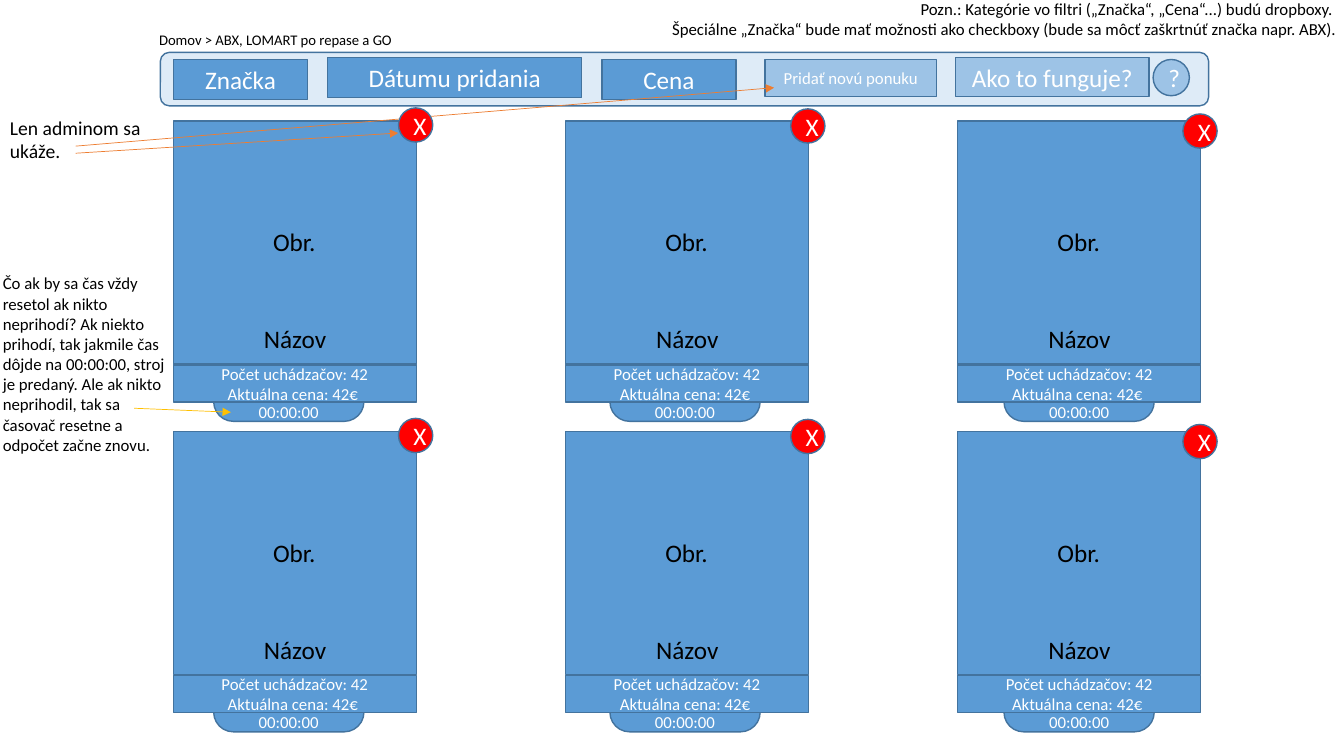
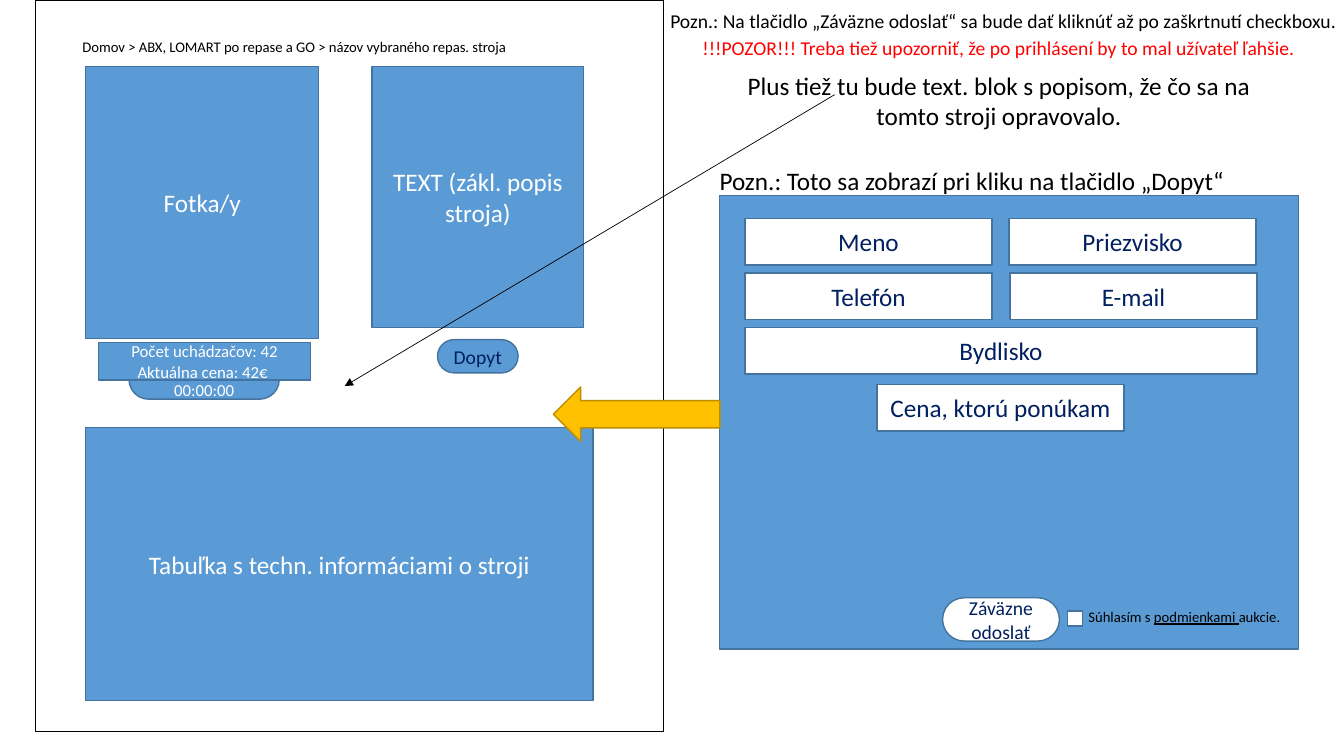
from lxml.etree import SubElement
from pptx import Presentation
from pptx.dml.color import RGBColor
from pptx.enum.shapes import MSO_CONNECTOR, MSO_SHAPE
from pptx.enum.text import MSO_ANCHOR, PP_ALIGN
from pptx.oxml.ns import qn
from pptx.util import Inches, Pt

COLORS = {
    "blue": "5B9BD5", "edge": "43739E", "light": "9DC3E6", "pale": "DEEBF7",
    "white": "FFFFFF", "black": "000000", "navy": "002060", "red": "FF0000",
    "gold": "FFC000", "gold_edge": "BD8E00", "orange": "ED7D31",
}
RGB = {name: RGBColor.from_string(value) for name, value in COLORS.items()}

deck = Presentation()
deck.slide_width, deck.slide_height = Inches(13.33), Inches(7.5)
COLUMN, ROW = deck.slide_width / 100, deck.slide_height / 100


def add_box(page, spot, text="", kind=MSO_SHAPE.RECTANGLE, fill="blue", line="edge",
            size=18, color="white", align=PP_ALIGN.CENTER, wrap=True, rounding=None, drop=None):
    left, top, width, height = spot
    place = [round(n) for n in (left * COLUMN, top * ROW, width * COLUMN, height * ROW)]
    if kind is None:
        box = page.shapes.add_textbox(*place)
    else:
        box = page.shapes.add_shape(kind, *place)
        box.shadow.inherit = False
        box.line.color.rgb = RGB[line]
        box.line.width = Pt(1)
        if fill:
            box.fill.solid()
            box.fill.fore_color.rgb = RGB[fill]
        else:
            box.fill.background()
        if rounding:
            box.adjustments[0] = rounding
    frame = box.text_frame
    frame.word_wrap = wrap
    frame.vertical_anchor = MSO_ANCHOR.TOP if kind is None else MSO_ANCHOR.MIDDLE
    if drop:
        frame.margin_top, frame.margin_bottom = round(drop * ROW), 0
    frame.text = text
    for para in frame.paragraphs:
        para.alignment = align
        para.font.name = "Calibri"
        para.font.size = Pt(size)
        para.font.color.rgb = RGB[color]
    return box


def add_arrow(page, start, end, color):
    arrow = page.shapes.add_connector(
        MSO_CONNECTOR.STRAIGHT, round(start[0] * COLUMN), round(start[1] * ROW),
        round(end[0] * COLUMN), round(end[1] * ROW))
    arrow.line.color.rgb = RGB[color]
    arrow.line.width = Pt(0.5)
    SubElement(arrow.line._get_or_add_ln(), qn("a:tailEnd"), type="triangle")
    SubElement(arrow._element.spPr, qn("a:effectLst"))


NOTE = dict(kind=None, color="black", align=PP_ALIGN.LEFT)
CRUMB = dict(NOTE, size=10.5)
PILL = dict(kind=MSO_SHAPE.ROUNDED_RECTANGLE, rounding=0.5)
TIMER = dict(PILL, text="00:00:00", size=12, drop=2.67)
BID = dict(text="Počet uchádzačov: 42\vAktuálna cena: 42€ ", size=12)
FIELD = dict(fill="white", color="navy")
TIMER_SIZE = (11.18, 5.2)
BID_HEIGHT = 4.93

page = deck.slides.add_slide(deck.slide_layouts[6])
CARD_WIDTH, CARD_HEIGHT = 18.08, 32.13
card_lefts = [12.9 + 29.18 * column for column in range(3)]
card_tops = [16 + 41.07 * row for row in range(2)]
timer_lefts = [15.9, 45.38, 74.7]
badge_rises = [1.73, 1.6, 0.93]

for top in card_tops:
    for left, timer_left in zip(card_lefts, timer_lefts):
        add_box(page, (timer_left, top + 34.53, *TIMER_SIZE), **TIMER)
        add_box(page, (left, top, CARD_WIDTH, CARD_HEIGHT))
        add_box(page, (left + 6.68, top + 13.33, 4.73, 5.33), "Obr.", wrap=False, **NOTE)
        add_box(page, (left + 6, top + 26.13, 6.23, 5.33), "Názov", wrap=False, **NOTE)
        add_box(page, (left, top + 32.27, CARD_WIDTH, BID_HEIGHT), **BID)

add_box(page, (11.93, 6.93, 78, 7.07), kind=MSO_SHAPE.ROUNDED_RECTANGLE, fill="pale")
filter_buttons = [
    ("Značka", (12.9, 7.87, 9.98, 5.33), "blue", 18),
    ("Dátumu pridania", (24.38, 7.6, 18.9, 5.33), "blue", 18),
    ("Cena", (44.78, 7.87, 9.98, 5.33), "blue", 18),
    ("Pridať novú ponuku", (56.93, 7.87, 12.75, 4.93), "light", 12),
    ("Ako to funguje?", (71.1, 7.6, 14.4, 5.2), "light", 18),
]
for label, spot, fill, size in filter_buttons:
    add_box(page, spot, label, fill=fill, size=size)
add_box(page, (85.8, 7.87, 2.7, 4.8), "?", kind=MSO_SHAPE.OVAL, fill="light")

add_box(page, (11.1, 3.47, 19.05, 3.73), "Domov > ABX, LOMART po repase a GO", wrap=False, **CRUMB)
add_box(page, (48.23, -0.8, 51.98, 6.67),
        "Pozn.: Kategórie vo filtri („Značka“, „Cena“...) budú dropboxy. \n"
        "Špeciálne „Značka“ bude mať možnosti ako checkboxy "
        "(bude sa môcť zaškrtnúť značka napr. ABX).",
        kind=None, size=12, color="black", align=PP_ALIGN.RIGHT)
add_box(page, (-0.53, 35.47, 14.4, 25.6),
        "Čo ak by sa čas vždy resetol ak nikto neprihodí? Ak niekto prihodí, tak jakmile čas "
        "dôjde na 00:00:00, stroj je predaný. Ale ak nikto neprihodil, tak sa časovač resetne "
        "a odpočet začne znovu.", size=12, **NOTE)
add_box(page, (0, 14.67, 14.7, 7.6), "Len adminom sa ukáže.", size=14, **NOTE)

add_arrow(page, (9.98, 54), (17.18, 54.53), "gold")
add_arrow(page, (5.63, 19.33), (57.6, 11.6), "orange")
add_arrow(page, (5.63, 20.27), (29.63, 17.6), "orange")
for top in card_tops:
    for left, rise in zip(card_lefts, badge_rises):
        add_box(page, (left + 16.75, top - rise, 2.55, 4.53), "X", kind=MSO_SHAPE.OVAL, fill="red")

page = deck.slides.add_slide(deck.slide_layouts[6])
add_box(page, (9.6, 47.6, *TIMER_SIZE), **TIMER)
add_box(page, (7.35, 45.33, 15.75, BID_HEIGHT), **BID)
add_box(page, (5.4, 4.4, 46.05, 3.73),
        "Domov > ABX, LOMART po repase a GO > názov vybraného repas. stroja", **CRUMB)
content_blocks = [
    ("Fotka/y", (6.38, 8.8, 17.33, 36)),
    ("TEXT (zákl. popis stroja)", (27.68, 8.8, 15.75, 34.53)),
    ("Tabuľka s techn. informáciami o stroji", (6.38, 56.53, 37.73, 36.13)),
    ("", (53.55, 25.87, 43.05, 60)),
]
for label, spot in content_blocks:
    add_box(page, spot, label)
add_box(page, (32.55, 44.93, 6, 4.4), "Dopyt", size=14, color="navy", **PILL)

FIELD_WIDTH, FIELD_HEIGHT = 18.38, 6.13
form_fields = [
    ("Meno", 55.43, 0, FIELD_WIDTH),
    ("Priezvisko", 75.08, 0, FIELD_WIDTH),
    ("Telefón", 55.43, 1, FIELD_WIDTH),
    ("E-mail", 75.15, 1, FIELD_WIDTH),
    ("Bydlisko", 55.43, 2, 38.1),
    ("Cena, ktorú ponúkam", 65.25, 3.05, FIELD_WIDTH),
]
for label, left, row, width in form_fields:
    add_box(page, (left, 28.93 + 7.2 * row, width, FIELD_HEIGHT), label, **FIELD)
add_box(page, (70.13, 79.07, 8.7, 5.73), "Záväzne odoslať", size=14, **FIELD, **PILL)
add_box(page, (79.43, 80.8, 1.13, 2), **FIELD)

terms = add_box(page, (80.25, 79.73, 16.28, 3.73), **CRUMB)
for words, underlined in [("Súhlasím s ", False), ("podmienkami ", True), ("aukcie.", False)]:
    span = terms.text_frame.paragraphs[0].add_run()
    span.text = words
    span.font.underline = underlined

add_box(page, (2.63, 0, 46.73, 96.8), fill=None, line="black")
add_box(page, (41.18, 51.2, 12.38, 7.2), kind=MSO_SHAPE.LEFT_ARROW, fill="gold", line="gold_edge")
add_box(page, (52.8, 21.2, 40.88, 5.33),
        "Pozn.: Toto sa zobrazí pri kliku na tlačidlo „Dopyt“", wrap=False, **NOTE)
add_box(page, (48.68, 0.53, 51.53, 4.53),
        "Pozn.: Na tlačidlo „Záväzne odoslať“ sa bude dať kliknúť až po zaškrtnutí checkboxu.",
        kind=None, size=14, color="black", align=PP_ALIGN.RIGHT, wrap=False)
add_box(page, (51.53, 4.13, 45.98, 4.53),
        "!!!POZOR!!! Treba tiež upozorniť, že po prihlásení by to mal užívateľ ľahšie.",
        kind=None, size=14, color="red", align=PP_ALIGN.LEFT, wrap=False)
add_box(page, (52.8, 8.67, 43.05, 9.47),
        "Plus tiež tu bude text. blok s popisom, že čo sa na tomto stroji opravovalo.",
        kind=None, color="black")
add_arrow(page, (62.1, 12.53), (25.65, 51.07), "black")

deck.save("out.pptx")
